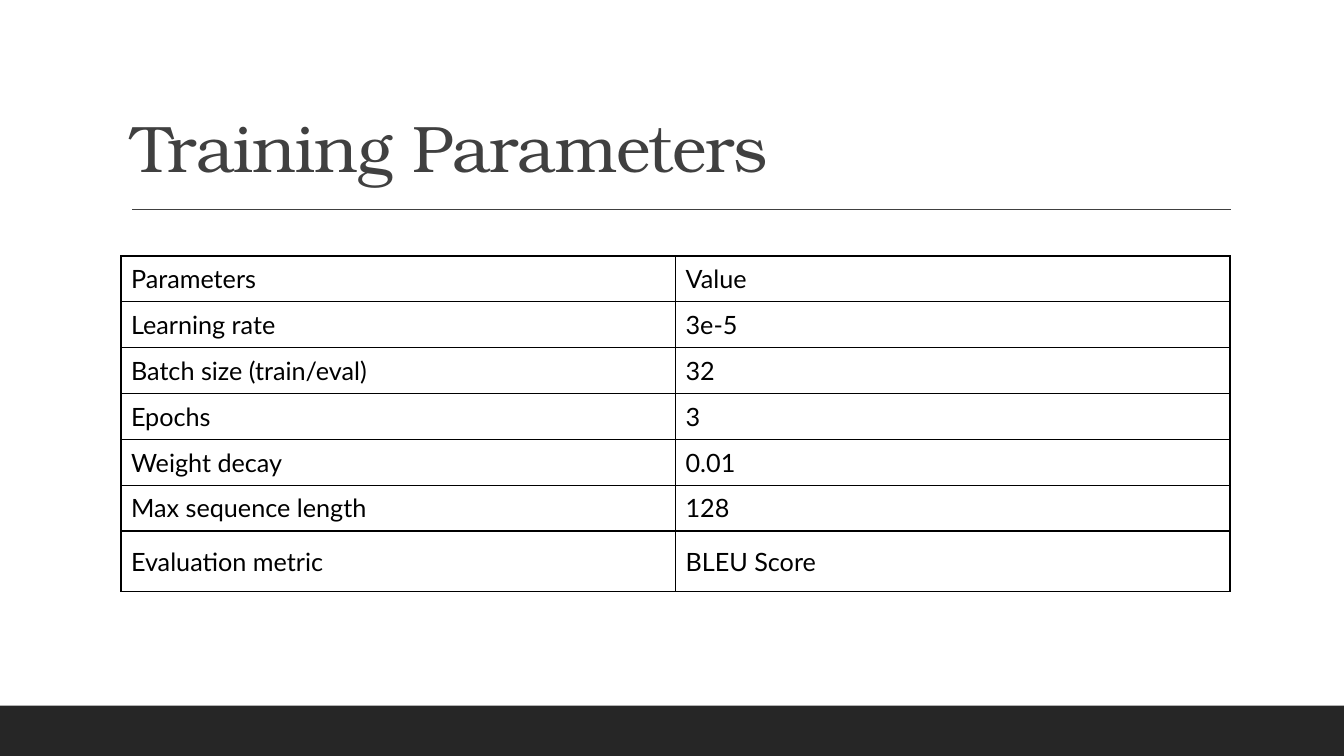
from lxml import etree
from pptx import Presentation
from pptx import util as u
from pptx.dml.color import RGBColor
from pptx.enum import shapes, text
from pptx.oxml.ns import qn

TITLE = "Training Parameters"
PARAMETERS = [
    ("Parameters", "Value"),
    ("Learning rate", "3e-5"),
    ("Batch size (train/eval)", "32"),
    ("Epochs", "3"),
    ("Weight decay", "0.01"),
    ("Max sequence length", "128"),
    ("Evaluation metric", "BLEU Score"),
]
TITLE_FONT = {"name": "TeX Gyre Bonum", "size": u.Pt(47), "bold": False}
CELL_FONT = {"name": "Lato", "size": u.Pt(18), "bold": False}
DARK, GREY, BLACK, WHITE = "262626", "404040", "000000", "FFFFFF"

SLIDE_W, SLIDE_H = u.Inches(13.33), u.Inches(7.5)
LEFT, CONTENT_W = u.Inches(1.2), u.Inches(11)
TABLE_TOP, TABLE_H, LAST_ROW_H = u.Inches(2.54), u.Inches(3.33), u.Inches(0.6)
BAND_H = u.Inches(0.5)
RULE_START, RULE_END, RULE_Y = u.Inches(1.31), u.Inches(12.21), u.Inches(2.08)


def paint(color_format, color):
    color_format.rgb = RGBColor.from_string(color)


def style_font(font, values, color):
    for name, value in values.items():
        setattr(font, name, value)
    paint(font.color, color)


def add_borders(cell, color, points):
    properties = cell._tc.get_or_add_tcPr()
    for index, side in enumerate(("lnL", "lnR", "lnT", "lnB")):
        border = etree.Element(qn("a:" + side), w=str(u.Pt(points)))
        fill = etree.SubElement(border, qn("a:solidFill"))
        etree.SubElement(fill, qn("a:srgbClr"), val=color)
        properties.insert(index, border)


def add_band(slide):
    band = slide.shapes.add_shape(
        shapes.MSO_SHAPE.RECTANGLE, 0, SLIDE_H - BAND_H, SLIDE_W, BAND_H)
    band.shadow.inherit = False
    band.fill.solid()
    paint(band.fill.fore_color, DARK)
    band.line.fill.background()


def add_rule(slide):
    rule = slide.shapes.add_connector(
        shapes.MSO_CONNECTOR.STRAIGHT, RULE_START, RULE_Y, RULE_END, RULE_Y)
    rule.line.width = u.Pt(1)
    paint(rule.line.color, GREY)
    etree.SubElement(rule._element.spPr, qn("a:effectLst"))


def fill_title(title):
    place = {"left": LEFT, "top": u.Inches(0.31),
             "width": CONTENT_W, "height": u.Inches(1.59)}
    for name, value in place.items():
        setattr(title, name, value)
    frame = title.text_frame
    frame.text = TITLE
    frame.word_wrap = True
    frame.auto_size = text.MSO_AUTO_SIZE.NONE
    frame.vertical_anchor = text.MSO_ANCHOR.BOTTOM
    heading = frame.paragraphs[0]
    heading.alignment = text.PP_ALIGN.LEFT
    heading.line_spacing = 0.9
    run = heading.runs[0]
    style_font(run.font, TITLE_FONT, GREY)
    run._r.get_or_add_rPr().set("spc", "-50")


def add_parameters(slide):
    table = slide.shapes.add_table(
        len(PARAMETERS), 2, LEFT, TABLE_TOP, CONTENT_W, TABLE_H).table
    table.first_row = table.horz_banding = False
    row_h = (TABLE_H - LAST_ROW_H) // (len(PARAMETERS) - 1)
    for r, entry in enumerate(PARAMETERS):
        table.rows[r].height = row_h
        for c, wording in enumerate(entry):
            cell = table.cell(r, c)
            cell.text = wording
            cell.vertical_anchor = text.MSO_ANCHOR.MIDDLE
            cell.fill.solid()
            paint(cell.fill.fore_color, WHITE)
            style_font(cell.text_frame.paragraphs[0].runs[0].font, CELL_FONT, BLACK)
            add_borders(cell, BLACK, 1)
    table.rows[len(PARAMETERS) - 1].height = LAST_ROW_H


def main():
    deck = Presentation()
    deck.slide_width, deck.slide_height = SLIDE_W, SLIDE_H
    slide = deck.slides.add_slide(deck.slide_layouts.get_by_name("Title Only"))
    add_band(slide)
    add_rule(slide)
    fill_title(slide.shapes.title)
    add_parameters(slide)
    deck.save("out.pptx")


if __name__ == "__main__":
    main()
